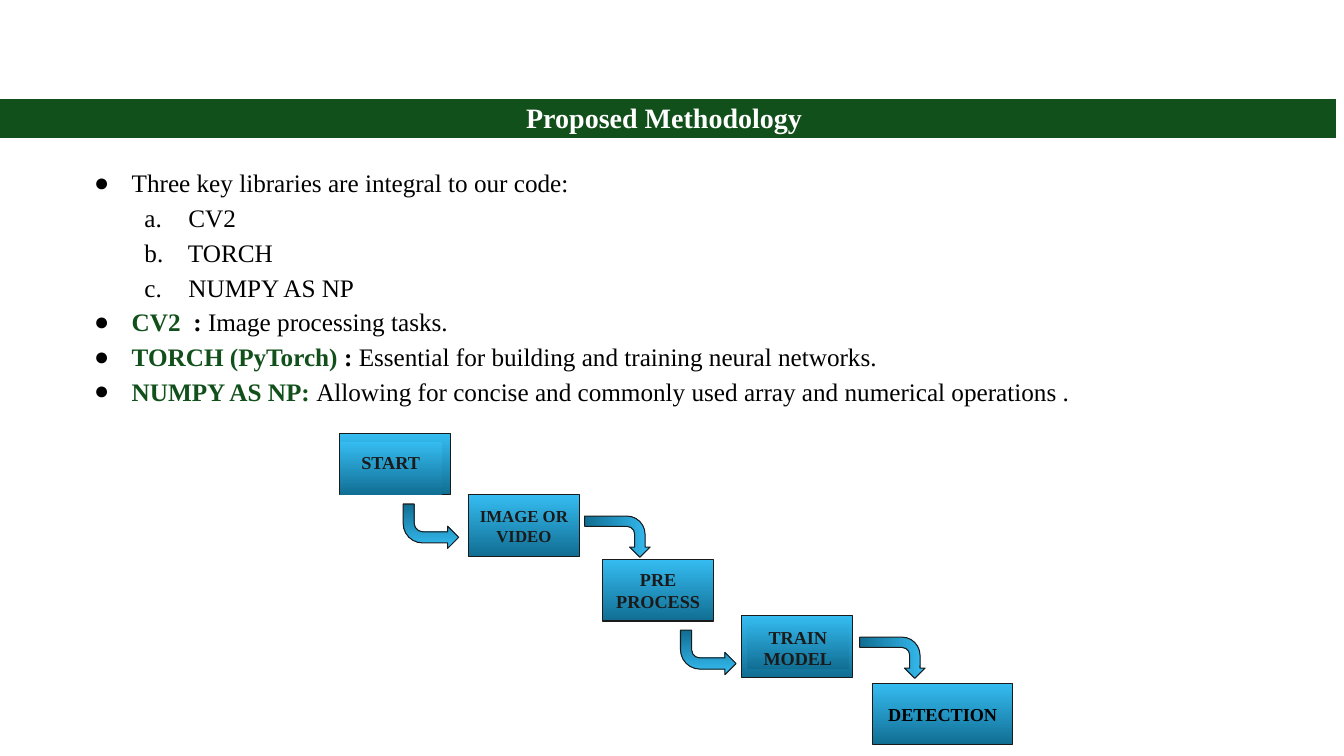
"""Build the Proposed Methodology slide with its staircase flow diagram."""
from lxml.etree import SubElement
from pptx import Presentation
from pptx.dml.color import RGBColor
from pptx.enum.shapes import MSO_SHAPE
from pptx.enum.text import MSO_ANCHOR, MSO_AUTO_SIZE, PP_ALIGN
from pptx.oxml.ns import qn
from pptx.util import Cm, Pt

FONT = "Times New Roman"
COLOURS = {
    "green": "12501B",
    "white": "FFFFFF",
    "black": "000000",
    "ink": "1A1A1A",
    "light": "35BCF1",
    "dark": "116E93",
}
BULLETS = [
    (0, [("Three key libraries are integral to our code:", "black", False)]),
    (1, [(" CV2", "black", False)]),
    (1, [(" TORCH", "black", False)]),
    (1, [(" NUMPY AS NP", "black", False)]),
    (0, [("CV2", "green", True), ("  : ", "black", True),
         ("Image processing tasks.", "black", False)]),
    (0, [("TORCH (PyTorch) ", "green", True), (": ", "black", True),
         ("Essential for building and training neural networks.", "black", False)]),
    (0, [("NUMPY AS NP: ", "green", True),
         ("Allowing for concise and commonly used array and numerical operations .",
          "black", False)]),
]
BOX_SIZE = (2.79, 1.55)
LABEL_SIZE = (2.57, 1.35)
STEPS = [
    ("", 8.56, 10.92, BOX_SIZE, 13, "ink"),
    ("IMAGE OR VIDEO", 11.81, 12.47, BOX_SIZE, 12, "ink"),
    ("PRE PROCESS", 15.19, 14.1, BOX_SIZE, 13, "ink"),
    ("", 18.69, 15.52, BOX_SIZE, 13, "ink"),
    ("DETECTION", 22, 17.22, (3.51, 1.55), 13, "black"),
]
LABELS = [("START", 8.56, 11.13), ("TRAIN MODEL", 18.82, 15.52)]
RIGHT_ARROWS = [(10.16, 12.7), (17.15, 15.88)]
DOWN_ARROWS = [(15.04, 12.7), (21.97, 15.75)]


def colour(name):
    return RGBColor.from_string(COLOURS[name])


def format_run(run, size, colour_name, bold):
    run.font.name = FONT
    run.font.size = Pt(size)
    run.font.bold = bold
    run.font.color.rgb = colour(colour_name)


def set_bullet(paragraph, level):
    properties = paragraph._p.get_or_add_pPr()
    properties.set("marL", str(Cm(1.27 * (level + 1))))
    properties.set("indent", str(Cm(-0.95)))
    bullet_colour = SubElement(properties, qn("a:buClr"))
    SubElement(bullet_colour, qn("a:srgbClr"), val=COLOURS["black"])
    SubElement(properties, qn("a:buFont"), typeface=FONT)
    if level:
        SubElement(properties, qn("a:buAutoNum"), type="alphaLcPeriod")
    else:
        SubElement(properties, qn("a:buChar"), char="●")


def fill_body(body):
    body.left, body.top, body.width, body.height = Cm(1.8), Cm(3.86), Cm(30.28), Cm(15.19)
    text_frame = body.text_frame
    text_frame.auto_size = MSO_AUTO_SIZE.NONE
    text_frame.margin_left = text_frame.margin_top = Cm(0.25)
    for index, (level, pieces) in enumerate(BULLETS):
        paragraph = text_frame.add_paragraph() if index else text_frame.paragraphs[0]
        paragraph.level = level
        paragraph.line_spacing = 1.15
        paragraph.space_before = paragraph.space_after = Pt(0)
        set_bullet(paragraph, level)
        for text, colour_name, bold in pieces:
            run = paragraph.add_run()
            run.text = text
            format_run(run, 18, colour_name, bold)


def set_borders(cell):
    properties = cell._tc.get_or_add_tcPr()
    for index, (side, width) in enumerate(
            [("lnL", 0.96), ("lnR", 0.96), ("lnT", 0.96), ("lnB", 3)]):
        line = properties.makeelement(qn(f"a:{side}"), {"w": str(Pt(width))})
        fill = SubElement(line, qn("a:solidFill"))
        SubElement(fill, qn("a:srgbClr"), val=COLOURS["white"])
        properties.insert(index, line)


def add_heading(slide, text):
    frame = slide.shapes.add_table(1, 1, Cm(-0.03), Cm(2.49), Cm(33.71), Cm(1.04))
    cell = frame.table.cell(0, 0)
    cell.fill.solid()
    cell.fill.fore_color.rgb = colour("green")
    set_borders(cell)
    cell.margin_top = cell.margin_bottom = Cm(0.05)
    cell.vertical_anchor = MSO_ANCHOR.MIDDLE
    paragraph = cell.text_frame.paragraphs[0]
    paragraph.text = text
    paragraph.alignment = PP_ALIGN.CENTER
    format_run(paragraph.runs[0], 20, "white", True)


def add_gradient_shape(slide, preset, left, top, size, angle, outlined=True):
    width, height = size
    shape = slide.shapes.add_shape(preset, Cm(left), Cm(top), Cm(width), Cm(height))
    shape.shadow.inherit = False
    shape.fill.gradient()
    shape.fill.gradient_angle = angle
    for stop, name, position in zip(shape.fill.gradient_stops, ("light", "dark"), (0, 1)):
        stop.color.rgb = colour(name)
        stop.position = position
    shape._element.spPr.find(qn("a:gradFill")).set("rotWithShape", "0")
    if outlined:
        shape.line.color.rgb = colour("ink")
        shape.line.width = Pt(0.75)
    else:
        shape.line.fill.background()
    return shape


def write_label(shape, text, size, colour_name, anchor):
    text_frame = shape.text_frame
    text_frame.word_wrap = True
    text_frame.vertical_anchor = anchor
    text_frame.margin_left = text_frame.margin_right = Cm(0.25)
    text_frame.margin_top = text_frame.margin_bottom = Cm(0.25)
    text_frame.text = text
    paragraph = text_frame.paragraphs[0]
    paragraph.alignment = PP_ALIGN.CENTER
    format_run(paragraph.runs[0], size, colour_name, True)


def add_bent_arrow(slide, left, top, size, rotation, angle, flipped):
    arrow = add_gradient_shape(slide, MSO_SHAPE.BENT_ARROW, left, top, size, angle)
    arrow.rotation = rotation
    for index, value in enumerate((0.25, 0.25, 0.25, 0.44)):
        arrow.adjustments[index] = value
    if flipped:
        arrow._element.spPr.find(qn("a:xfrm")).set("flipH", "1")


def main():
    presentation = Presentation()
    presentation.slide_width, presentation.slide_height = Cm(33.87), Cm(19.05)
    slide = presentation.slides.add_slide(presentation.slide_layouts[1])
    title = slide.shapes.title._element
    title.getparent().remove(title)
    fill_body(slide.placeholders[1])
    add_heading(slide, "Proposed Methodology ")
    for text, left, top, size, points, colour_name in STEPS:
        box = add_gradient_shape(slide, MSO_SHAPE.RECTANGLE, left, top, size, 270)
        if text:
            write_label(box, text, points, colour_name, MSO_ANCHOR.MIDDLE)
    for left, top in RIGHT_ARROWS:
        add_bent_arrow(slide, left, top, (1.4, 1.12), 180, 90, True)
    for left, top in DOWN_ARROWS:
        add_bent_arrow(slide, left, top, (1.04, 1.65), 90, 180, False)
    for text, left, top in LABELS:
        label = add_gradient_shape(
            slide, MSO_SHAPE.RECTANGLE, left, top, LABEL_SIZE, 270, outlined=False)
        write_label(label, text, 13, "ink", MSO_ANCHOR.TOP)
    presentation.save("out.pptx")


if __name__ == "__main__":
    main()
